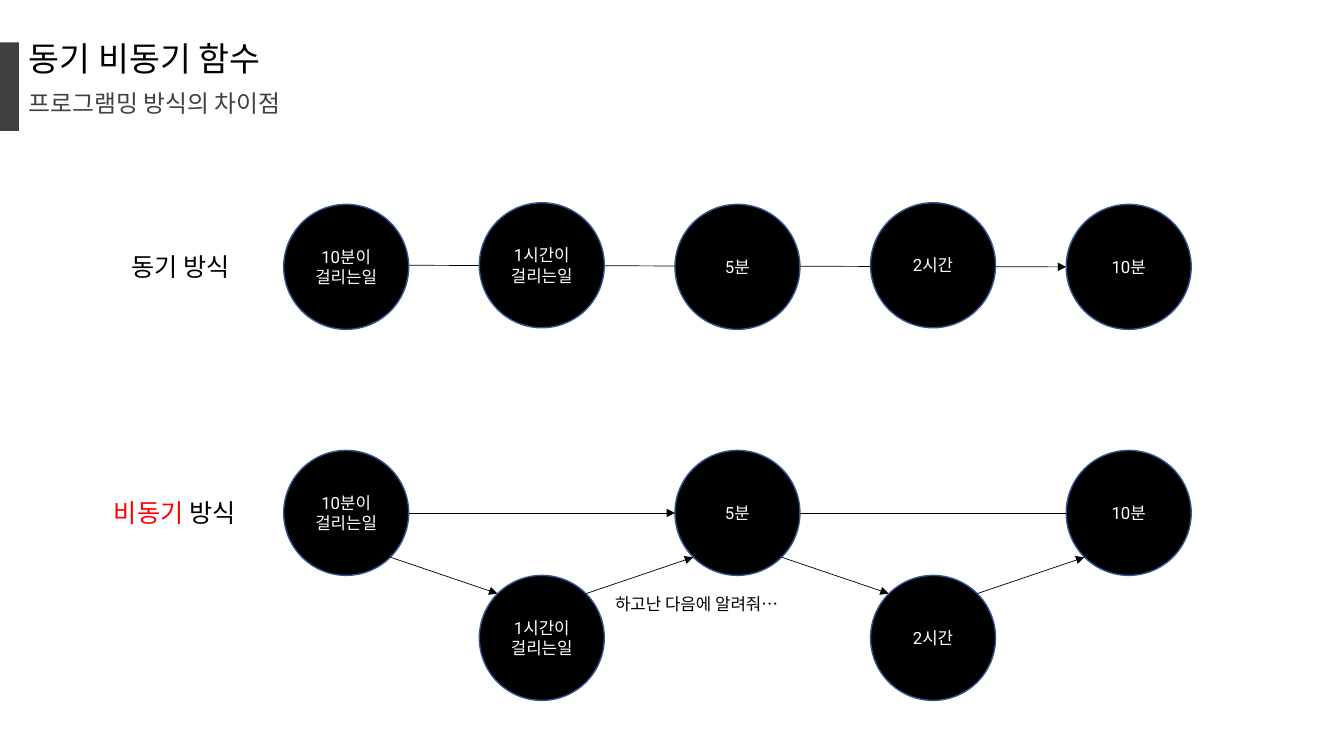
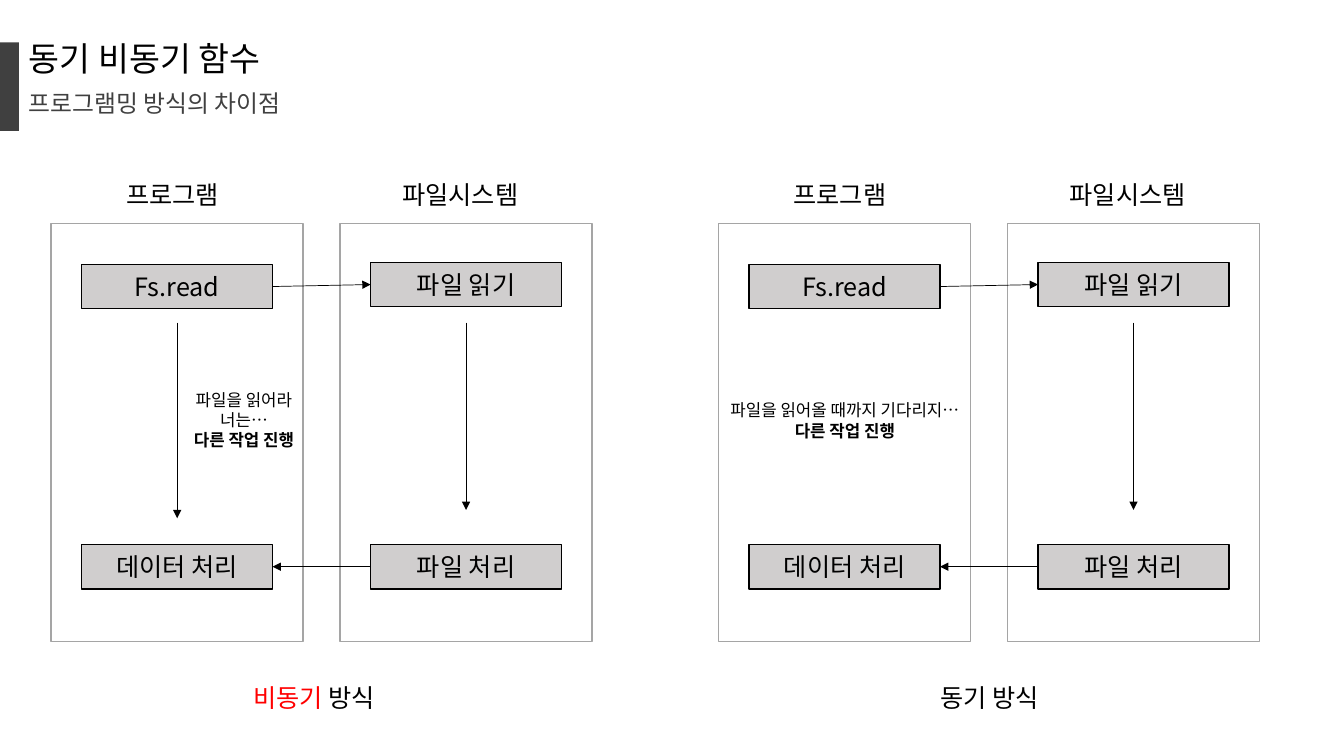
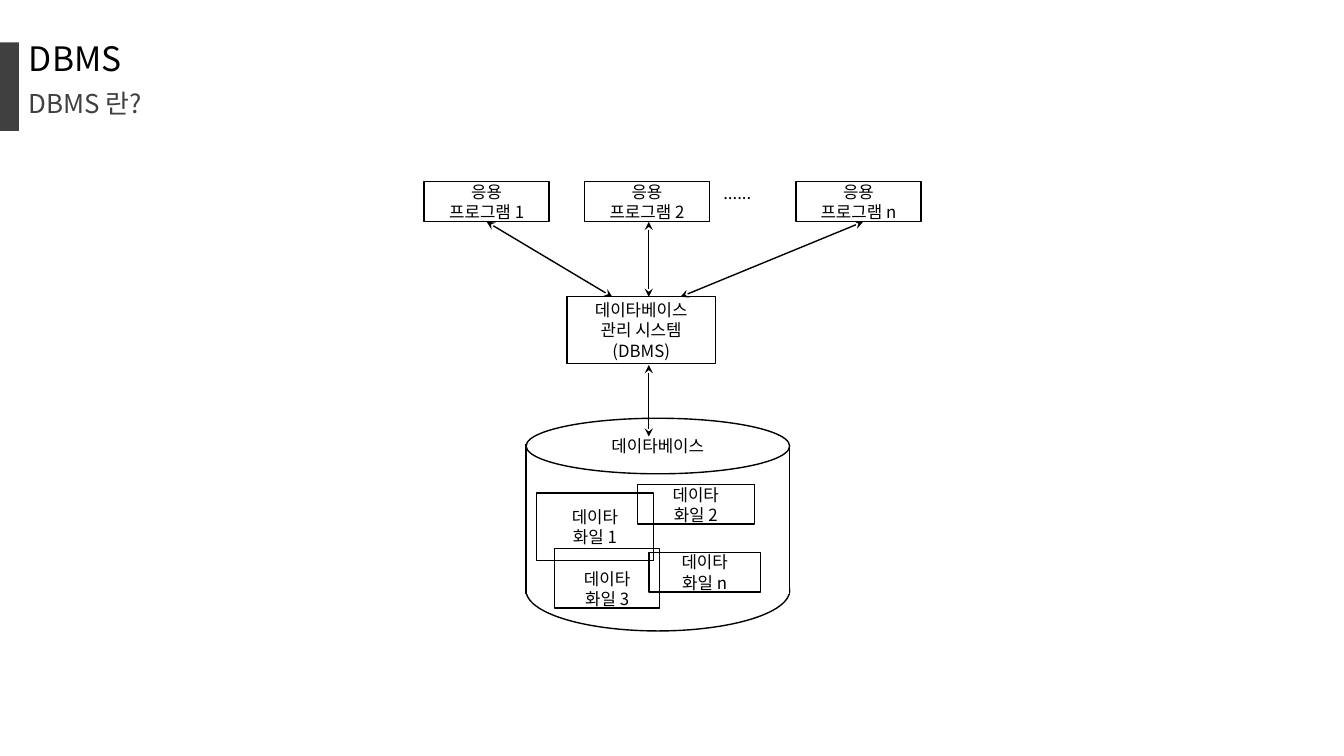
from lxml.etree import SubElement
from pptx import Presentation
from pptx.dml.color import RGBColor
from pptx.enum.shapes import MSO_CONNECTOR, MSO_SHAPE
from pptx.enum.text import MSO_ANCHOR, MSO_AUTO_SIZE, PP_ALIGN
from pptx.oxml.ns import qn
from pptx.util import Cm, Pt

SANS, ROBOTO = "Noto Sans CJK KR", "Roboto"
BLACK, WHITE, RED = "000000", "FFFFFF", "FF0000"
DARK, GRAY, SILVER, NAVY = "404040", "A5A5A5", "D0CECE", "325491"
LEFT, CENTER = PP_ALIGN.LEFT, PP_ALIGN.CENTER


def rgb(color):
    return RGBColor.from_string(color)


# Shared building blocks
def write(tf, lines, size, font=SANS, color=BLACK, align=CENTER):
    """Each line is a string or a list of (text, color, bold) runs."""
    tf.word_wrap = False
    for i, line in enumerate(lines):
        p = tf.paragraphs[0] if i == 0 else tf.add_paragraph()
        p.alignment = align
        p.font.size = Pt(size)
        p.font.name = font
        p.font.color.rgb = rgb(color)
        SubElement(p.font._element, qn("a:ea")).set("typeface", SANS)
        for text, run_color, bold in [(line, None, None)] if isinstance(line, str) else line:
            r = p.add_run()
            r.text = text
            if run_color:
                r.font.color.rgb = rgb(run_color)
            if bold:
                r.font.bold = True


def add_shape(slide, kind, x, y, w, h, fill=None, line=None, lines=(), **style):
    sp = slide.shapes.add_shape(kind, Cm(x), Cm(y), Cm(w), Cm(h))
    sp.shadow.inherit = False
    if fill:
        sp.fill.solid()
        sp.fill.fore_color.rgb = rgb(fill)
    else:
        sp.fill.background()
    if line:
        sp.line.color.rgb = rgb(line)
        sp.line.width = Pt(1)
    else:
        sp.line.fill.background()
    if lines:
        sp.text_frame.vertical_anchor = MSO_ANCHOR.MIDDLE
        write(sp.text_frame, lines, **style)
    return sp


def add_text(slide, x, y, w, h, lines, size, **style):
    sp = slide.shapes.add_textbox(Cm(x), Cm(y), Cm(w), Cm(h))
    write(sp.text_frame, lines, size, **style)
    sp.text_frame.auto_size = MSO_AUTO_SIZE.SHAPE_TO_FIT_TEXT
    return sp


def add_line(slide, x1, y1, x2, y2, width=0.5, head=None, tail=None):
    c = slide.shapes.add_connector(MSO_CONNECTOR.STRAIGHT, Cm(x1), Cm(y1), Cm(x2), Cm(y2))
    c.line.color.rgb = rgb(BLACK)
    c.line.width = Pt(width)
    sp_pr = c._element.spPr
    for tag, kind in (("a:headEnd", head), ("a:tailEnd", tail)):
        if kind:
            SubElement(sp_pr.find(qn("a:ln")), qn(tag)).set("type", kind)
    SubElement(sp_pr, qn("a:effectLst"))
    return c


def add_arrow(slide, *ends):
    return add_line(slide, *ends, tail="triangle")


def new_slide(prs, title, subtitle, subtitle_size=17):
    slide = prs.slides.add_slide(prs.slide_layouts[6])
    add_shape(slide, MSO_SHAPE.RECTANGLE, 0, 1.07, 0.48, 2.23, DARK)
    for text, y, h, size, color, spacing in (
            (title, 1.07, 1.27, 24, BLACK, 0.9),
            (subtitle, 2.37, 0.94, subtitle_size, DARK, 0.8)):
        sp = slide.shapes.add_textbox(Cm(0.48), Cm(y), Cm(7.16), Cm(h))
        tf = sp.text_frame
        tf.margin_top = tf.margin_bottom = 0
        write(tf, [text], size, color=color, align=LEFT)
        tf.paragraphs[0].line_spacing = spacing
    return slide


SYNC_LABEL = ["동기 방식"]
ASYNC_LABEL = [[("비동기", RED, None), (" 방식", None, None)]]


def mode_label(slide, x, y, is_async):
    if is_async:
        add_text(slide, x, y, 3.91, 1.02, ASYNC_LABEL, 18, font=ROBOTO, align=LEFT)
    else:
        add_text(slide, x, y, 3.28, 1.02, SYNC_LABEL, 18, font=ROBOTO)


# Slide 1: chains of tasks
TASKS = [["10분이", "걸리는일"], ["1시간이", "걸리는일"], ["5분"], ["2시간"], ["10분"]]
DIAMETER, TASK_STEP = 3.15, 4.93


def add_tasks(slide, x, y, drop):
    """Every second circle is moved down by drop."""
    for i, lines in enumerate(TASKS):
        add_shape(slide, MSO_SHAPE.OVAL, x + i * TASK_STEP, y + i % 2 * drop,
                  DIAMETER, DIAMETER, BLACK, NAVY, lines,
                  size=12, font=ROBOTO, color=WHITE)


def sync_chain(slide, x, y):
    mid = y + DIAMETER / 2
    add_arrow(slide, x + DIAMETER, mid - 0.04, x + 4 * TASK_STEP, mid)
    mode_label(slide, x - 4.23, y + 1.05, False)
    add_tasks(slide, x, y, -0.04)


def async_chain(slide, x, y):
    add_tasks(slide, x, y, DIAMETER)
    radius = DIAMETER / 2
    mid = y + radius
    diagonal = radius * 0.71
    # Straight links between the upper tasks
    add_arrow(slide, x + DIAMETER, mid, x + 2 * TASK_STEP, mid)
    add_line(slide, x + 2 * TASK_STEP + DIAMETER, mid, x + 4 * TASK_STEP, mid)
    # Slanted links down to and up from the lower tasks
    for i in range(4):
        start, end = x + i * TASK_STEP + radius, x + (i + 1) * TASK_STEP + radius
        ys = [mid + diagonal, mid + DIAMETER - diagonal]
        if i % 2:
            ys.reverse()
        add_arrow(slide, start + diagonal, ys[0], end - diagonal, ys[1])
    add_text(slide, x + 8.1, y + 3.48, 4.98, 0.76, ["하고난 다음에 알려줘…"], 12, align=LEFT)
    mode_label(slide, x - 4.53, y + 1.05, True)


# Slide 2: program and file system side by side
COLUMN_W, COLUMN_H, COLUMN_STEP = 6.35, 10.52, 7.28
STEP_W, STEP_H = 4.81, 1.12


def file_panel(slide, x, y, is_async):
    columns = [x, x + COLUMN_STEP]
    for cx, name, w in zip(columns, ("프로그램", "파일시스템"), (3.07, 3.71)):
        add_shape(slide, MSO_SHAPE.RECTANGLE, cx, y, COLUMN_W, COLUMN_H, WHITE, GRAY)
        add_text(slide, cx + (COLUMN_W - w) / 2, y - 1.25, w, 1.02, [name], 18, align=LEFT)

    def step(column, dy, text):
        return add_shape(slide, MSO_SHAPE.RECTANGLE, columns[column] + 0.77, y + dy,
                         STEP_W, STEP_H, SILVER, BLACK, [text], size=18)

    call, read = step(0, 1.02, "Fs.read"), step(1, 0.97, "파일 읽기")
    data, process = step(0, 8.08, "데이터 처리"), step(1, 8.08, "파일 처리")

    # Calls between the columns
    for source, side, target, target_side in ((call, 3, read, 1), (process, 1, data, 3)):
        c = add_arrow(slide, 0, 0, 1, 1)
        c.begin_connect(source, side)
        c.end_connect(target, target_side)

    # Flow down the columns and the note beside it
    mid = COLUMN_W / 2
    add_arrow(slide, columns[1] + mid, y + 2.49, columns[1] + mid, y + 7.21)
    other_work = [("다른 작업 진행", None, True)]
    if is_async:
        add_arrow(slide, x + mid, y + 2.49, x + mid, y + 7.42)
        add_text(slide, x + 3.17, y + 4.06, 3.38, 1.8,
                 ["파일을 읽어라", "너는…", other_work], 12)
    else:
        add_text(slide, x - 0.23, y + 4.32, 6.83, 1.27,
                 ["파일을 읽어올 때까지 기다리지…", other_work], 12)
    mode_label(slide, x + (4.85 if is_async else 5.18), y + 11.43, is_async)


# Slide 3: applications, DBMS and database
def database(slide, x, y):
    w = 6.64
    add_shape(slide, MSO_SHAPE.OVAL, x, y + 3.33, w, 2.03, WHITE, BLACK)
    add_shape(slide, MSO_SHAPE.RECTANGLE, x, y + 0.66, w, 3.76, WHITE, WHITE)
    add_shape(slide, MSO_SHAPE.OVAL, x, y, w, 1.4, WHITE, BLACK, ["데이타베이스"], size=12)
    for side in (x, x + w):
        add_line(slide, side, y + 0.66, side, y + 4.42, 1)
    # Overlapping data files
    for name, dx, dy, fw, fh, top in (("1", 0.26, 1.88, 2.95, 1.7, 0.13),
                                      ("2", 2.8, 1.67, 2.95, 1, 0.13),
                                      ("3", 0.72, 3.28, 2.64, 1.5, 0.64),
                                      ("n", 3.1, 3.38, 2.8, 1, 0.13)):
        sp = add_shape(slide, MSO_SHAPE.RECTANGLE, x + dx, y + dy, fw, fh, None, BLACK,
                       ["데이타", f"화일 {name}"], size=12)
        sp.text_frame.margin_top = Cm(top)


def applications(slide, x, y):
    """Applications on top, the DBMS below, and the arrows between them."""
    apps = [add_shape(slide, MSO_SHAPE.RECTANGLE, x + dx, y, 3.15, 1.02, WHITE, BLACK,
                      ["응용", f"프로그램 {name}"], size=12)
            for name, dx in (("1", 0), ("2", 4.04), ("n", 9.37))]
    add_text(slide, x + 7.29, y - 0.08, 1.35, 0.76, ["......"], 12, align=LEFT)
    add_shape(slide, MSO_SHAPE.RECTANGLE, x + 3.6, y + 2.91, 3.74, 1.68, WHITE, BLACK,
              ["데이타베이스", "관리 시스템", "(DBMS)"], size=12)
    arrows = [add_line(slide, x + x1, y + y1, x + x2, y + y2, 1, "stealth", "stealth")
              for x1, y1, x2, y2 in ((1.58, 1.02, 4.74, 2.91),
                                     (5.66, 1.02, 5.66, 2.91),
                                     (11.06, 1.02, 6.46, 2.91),
                                     (5.66, 4.63, 5.66, 6.43))]
    arrows[0].begin_connect(apps[0], 2)


def main():
    prs = Presentation()
    prs.slide_width, prs.slide_height = Cm(33.87), Cm(19.05)
    heading = ("동기 비동기 함수", "프로그램밍 방식의 차이점")

    slide = new_slide(prs, *heading)
    sync_chain(slide, 7.15, 5.15)
    async_chain(slide, 7.15, 11.35)

    slide = new_slide(prs, *heading)
    file_panel(slide, 1.29, 5.64, True)
    file_panel(slide, 18.11, 5.64, False)

    slide = new_slide(prs, "DBMS", "DBMS 란?", 18.5)
    database(slide, 13.26, 10.54)
    applications(slide, 10.69, 4.57)

    prs.save("out.pptx")


if __name__ == "__main__":
    main()
